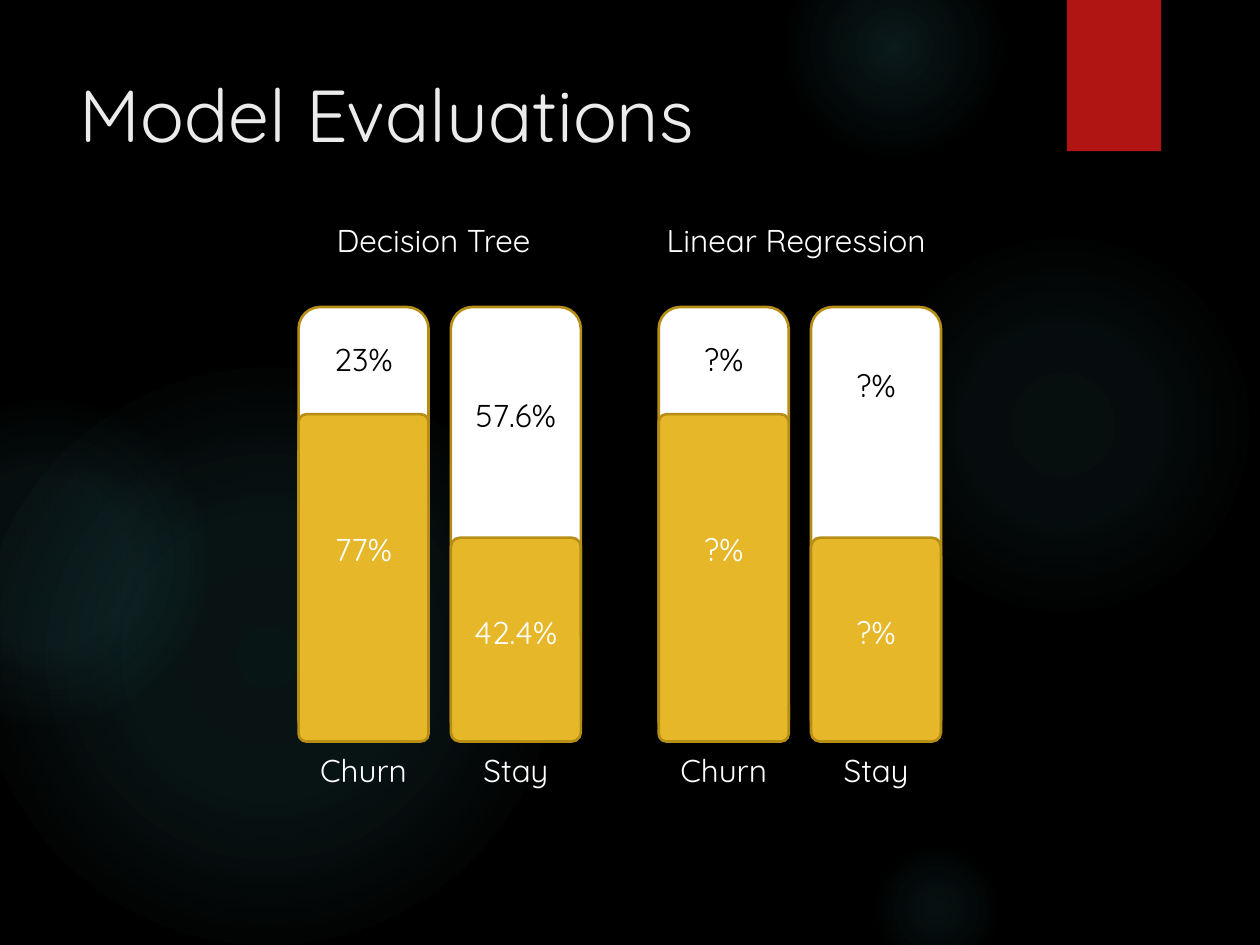
from dataclasses import dataclass

from lxml import etree
from pptx import Presentation
from pptx.dml.color import RGBColor
from pptx.enum.shapes import MSO_SHAPE
from pptx.enum.text import MSO_ANCHOR, MSO_AUTO_SIZE, PP_ALIGN
from pptx.oxml import parse_xml
from pptx.oxml.ns import nsdecls, qn
from pptx.util import Cm, Pt

ELLIPSE, RECTANGLE = MSO_SHAPE.OVAL, MSO_SHAPE.RECTANGLE
ROUNDED = MSO_SHAPE.ROUNDED_RECTANGLE
CENTER, LEFT = PP_ALIGN.CENTER, PP_ALIGN.LEFT
TOP = MSO_ANCHOR.TOP
FIT_SHAPE, NO_FIT = MSO_AUTO_SIZE.SHAPE_TO_FIT_TEXT, MSO_AUTO_SIZE.NONE
TITLE_ONLY = 5

FONT = "Quicksand"
COLORS = {
    "background": "000000",
    "glow": "50B9C1",
    "ribbon": "B01513",
    "title": "EBEBEB",
    "light": "FFFFFF",
    "dark": "000000",
    "gold": "E6B729",
    "outline": "B68E15",
}

# Bar geometry in cm
BAR_WIDTH, BAR_HEIGHT, BAR_PITCH = 2.62, 8.76, 3.07
BAR_BOTTOM = 14.95
LABEL_HEIGHT, HEADING_TOP, CAPTION_TOP = 1.02, 4.34, 15.01
LABEL_WIDTHS = {
    "Churn": 2.41, "Stay": 1.83, "23%": 1.73, "77%": 1.73, "57.6%": 2.26,
    "42.4%": 2.26, "?%": 1.4, "Decision Tree": 4.62, "Linear Regression": 5.84,
}


@dataclass
class Glow:
    left: float
    top: float
    size: float
    stops: tuple  # (position %, opacity %)


@dataclass
class Bar:
    caption: str
    rest: str
    rest_top: float
    share: str
    share_top: float
    share_height: float
    corner: float


@dataclass
class Model:
    name: str
    name_center: float
    left: float
    bars: tuple


GLOWS = (
    Glow(17.5, 4.65, 7.82, ((0, 7), (36, 6), (69, 0))),
    Glow(15.8, -1.27, 4.45, ((0, 14), (36, 7), (73, 0))),
    Glow(17.5, 16.94, 2.74, ((0, 9), (36, 5), (66, 0))),
    Glow(-0.43, 7.42, 11.63, ((0, 11), (36, 10), (75, 0))),
    Glow(-2.34, 8.05, 6.55, ((0, 8), (36, 8), (72, 0))),
)
MODELS = (
    Model("Decision Tree", 8.74, 6.02, (
        Bar("Churn", "23%", 6.73, "77%", 10.57, 6.6, 0.06),
        Bar("Stay", "57.6%", 7.85, "42.4%", 12.24, 4.11, 0.07))),
    Model("Linear Regression", 16.05, 13.28, (
        Bar("Churn", "?%", 6.73, "?%", 10.57, 6.6, 0.06),
        Bar("Stay", "?%", 7.26, "?%", 12.24, 4.11, 0.07))),
)


def rgb(name: str) -> RGBColor:
    return RGBColor.from_string(COLORS[name])


def write_text(frame, text: str, *, size=18, color="light", align=CENTER,
               wrap=False, fit=FIT_SHAPE) -> None:
    frame.word_wrap = wrap
    frame.auto_size = fit
    frame.vertical_anchor = TOP
    paragraph = frame.paragraphs[0]
    paragraph.alignment = align
    run = paragraph.add_run()
    run.text = text
    run.font.name = FONT
    run.font.size = Pt(size)
    run.font.color.rgb = rgb(color)


def add_label(shapes, text: str, center: float, top: float,
              color="light") -> None:
    width = LABEL_WIDTHS[text]
    label = shapes.add_textbox(Cm(center - width / 2), Cm(top),
                               Cm(width), Cm(LABEL_HEIGHT))
    write_text(label.text_frame, text, color=color)


def add_block(shapes, kind, left: float, top: float, width: float,
              height: float, fill: str, line=None):
    block = shapes.add_shape(kind, Cm(left), Cm(top), Cm(width), Cm(height))
    block.shadow.inherit = False
    block.fill.solid()
    block.fill.fore_color.rgb = rgb(fill)
    if line:
        block.line.color.rgb = rgb(line)
        block.line.width = Pt(1.5)
    else:
        block.line.fill.background()
    return block


def add_glow(shapes, glow: Glow) -> None:
    circle = add_block(shapes, ELLIPSE, glow.left, glow.top,
                       glow.size, glow.size, "glow")
    stops = "".join(
        f'<a:gs pos="{position * 1000}"><a:srgbClr val="{COLORS["glow"]}">'
        f'<a:alpha val="{opacity * 1000}"/></a:srgbClr></a:gs>'
        for position, opacity in glow.stops)
    gradient = parse_xml(
        f'<a:gradFill {nsdecls("a")}><a:gsLst>{stops}</a:gsLst>'
        '<a:path path="circle"><a:fillToRect l="50000" t="50000" '
        'r="50000" b="50000"/></a:path></a:gradFill>')
    properties = circle.element.spPr
    properties.replace(properties.find(qn("a:solidFill")), gradient)


def add_ribbon(shapes) -> None:
    ribbon = add_block(shapes, RECTANGLE, 21.51, 0, 1.9, 3.05, "ribbon")
    effects = ribbon.element.spPr.find(qn("a:effectLst"))
    shadow = etree.SubElement(effects, qn("a:outerShdw"), blurRad=str(Pt(3)),
                              dist=str(Pt(2)), dir="5400000")
    color = etree.SubElement(shadow, qn("a:srgbClr"), val=COLORS["dark"])
    etree.SubElement(color, qn("a:alpha"), val="45000")


def add_bar(shapes, bar: Bar, left: float) -> None:
    center = left + BAR_WIDTH / 2
    add_block(shapes, ROUNDED, left, BAR_BOTTOM - BAR_HEIGHT,
              BAR_WIDTH, BAR_HEIGHT, "light", "outline")
    share = add_block(shapes, ROUNDED, left, BAR_BOTTOM - bar.share_height,
                      BAR_WIDTH, bar.share_height, "gold", "outline")
    share.adjustments[0] = bar.corner
    add_label(shapes, bar.rest, center, bar.rest_top, "dark")
    add_label(shapes, bar.share, center, bar.share_top)
    add_label(shapes, bar.caption, center, CAPTION_TOP)


def add_model(slide, model: Model) -> None:
    shapes = slide.shapes.add_group_shape().shapes
    for index, bar in enumerate(model.bars):
        add_bar(shapes, bar, model.left + index * BAR_PITCH)
    add_label(shapes, model.name, model.name_center, HEADING_TOP)


def main() -> None:
    deck = Presentation()
    deck.slide_width, deck.slide_height = Cm(25.4), Cm(19.05)
    slide = deck.slides.add_slide(deck.slide_layouts[TITLE_ONLY])

    # Backdrop
    slide.background.fill.solid()
    slide.background.fill.fore_color.rgb = rgb("background")
    for glow in GLOWS:
        add_glow(slide.shapes, glow)
    add_ribbon(slide.shapes)

    # Title
    title = slide.shapes.title
    title.left, title.top = Cm(1.35), Cm(1.27)
    title.width, title.height = Cm(19.61), Cm(3.89)
    write_text(title.text_frame, "Model Evaluations", size=42, color="title",
               align=LEFT, wrap=True, fit=NO_FIT)

    # Result bars of each model
    for model in MODELS:
        add_model(slide, model)

    deck.save("out.pptx")


if __name__ == "__main__":
    main()
